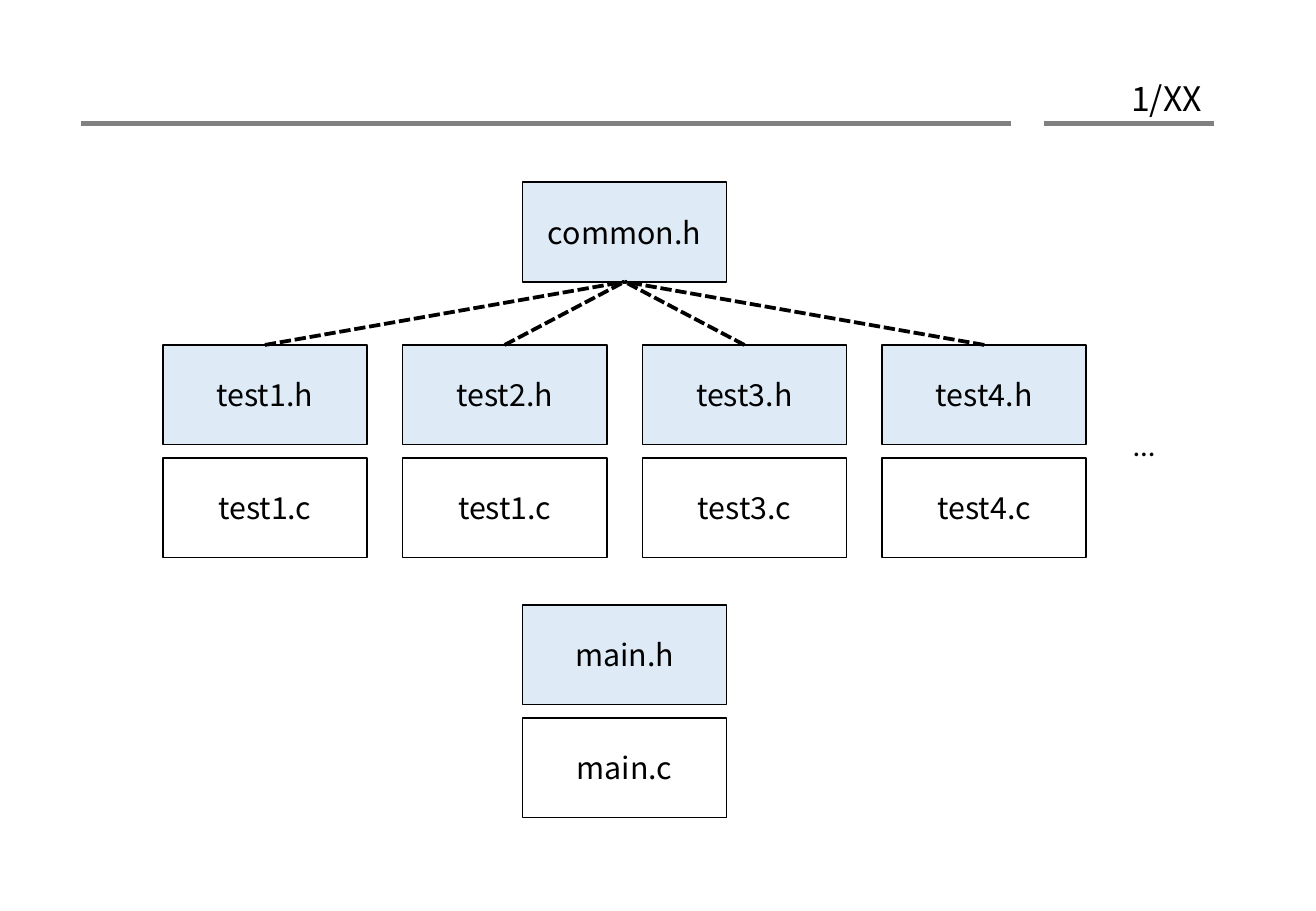
from lxml import etree
from pptx import Presentation
from pptx.dml.color import RGBColor
from pptx.enum.dml import MSO_LINE
from pptx.enum.shapes import MSO_CONNECTOR, MSO_SHAPE
from pptx.enum.text import MSO_ANCHOR, PP_ALIGN
from pptx.oxml.ns import qn
from pptx.util import Inches, Pt

PAGE_NUMBER = "1/XX"
COMMON_HEADER = "common.h"
TEST_MODULES = [
    ("test1.h", "test1.c"),
    ("test2.h", "test1.c"),
    ("test3.h", "test3.c"),
    ("test4.h", "test4.c"),
]
MAIN_MODULE = ("main.h", "main.c")
MORE_MODULES = "…"

FONT = "Noto Sans CJK KR"
BLACK, GRAY, HEADER_BLUE = "000000", "808080", "DEEBF7"

RULE_Y = 1.02
RULE_SPANS = [(0.67, 8.32), (8.59, 9.99)]
BOX_W, BOX_H = 1.68, 0.82
SOURCE_DROP = 0.93
COMMON_TOP, TESTS_TOP, MAIN_TOP = 1.5, 2.84, 4.98
FIRST_LEFT, LAST_LEFT = 1.34, 7.26
COLUMN_STEP = (LAST_LEFT - FIRST_LEFT) / (len(TEST_MODULES) - 1)
CENTER_LEFT = (FIRST_LEFT + LAST_LEFT) / 2


def color(hex_value):
    return RGBColor.from_string(hex_value)


def write(shape, text, size, align, anchor, font=FONT, wrap=True):
    frame = shape.text_frame
    frame.word_wrap = wrap
    frame.vertical_anchor = anchor
    paragraph = frame.paragraphs[0]
    paragraph.alignment = align
    run = paragraph.add_run()
    run.text = text
    for attribute, value in {"name": font, "size": Pt(size)}.items():
        setattr(run.font, attribute, value)
    run.font.color.rgb = color(BLACK)


def add_file_box(slide, name, left, top):
    """Header files are tinted, source files are unfilled."""
    box = slide.shapes.add_shape(
        MSO_SHAPE.RECTANGLE, Inches(left), Inches(top), Inches(BOX_W), Inches(BOX_H))
    box.shadow.inherit = False
    if name.endswith(".h"):
        box.fill.solid()
        box.fill.fore_color.rgb = color(HEADER_BLUE)
    else:
        box.fill.background()
    box.line.color.rgb = color(BLACK)
    box.line.width = Pt(1)
    write(box, name, 18, PP_ALIGN.CENTER, MSO_ANCHOR.MIDDLE)
    return box


def add_module(slide, module, left, top):
    """Stack a header over its source file and return the header box."""
    header, source = module
    header_box = add_file_box(slide, header, left, top)
    add_file_box(slide, source, left, top + SOURCE_DROP)
    return header_box


def add_line(slide, start, end, hex_value, width, dash=None):
    line = slide.shapes.add_connector(
        MSO_CONNECTOR.STRAIGHT, *map(Inches, (*start, *end)))
    line.line.color.rgb = color(hex_value)
    line.line.width = Pt(width)
    if dash:
        line.line.dash_style = dash
    etree.SubElement(line._element.spPr, qn("a:effectLst"))
    return line


def main():
    deck = Presentation()
    deck.slide_width, deck.slide_height = Inches(10.83), Inches(7.5)
    slide = deck.slides.add_slide(deck.slide_layouts[6])

    for left, right in RULE_SPANS:
        add_line(slide, (left, RULE_Y), (right, RULE_Y), GRAY, 3)
    page_number = slide.shapes.add_textbox(
        Inches(7.55), Inches(0.61), Inches(2.44), Inches(0.4))
    write(page_number, PAGE_NUMBER, 20, PP_ALIGN.RIGHT, MSO_ANCHOR.MIDDLE)

    common = add_file_box(slide, COMMON_HEADER, CENTER_LEFT, COMMON_TOP)
    add_module(slide, MAIN_MODULE, CENTER_LEFT, MAIN_TOP)
    test_headers = [
        add_module(slide, module, FIRST_LEFT + column * COLUMN_STEP, TESTS_TOP)
        for column, module in enumerate(TEST_MODULES)
    ]

    more = slide.shapes.add_textbox(
        Inches(9.23), Inches(3.46), Inches(0.38), Inches(0.4))
    write(more, MORE_MODULES, 18, PP_ALIGN.LEFT, MSO_ANCHOR.TOP, "Calibri", False)

    common_bottom = (CENTER_LEFT + BOX_W / 2, COMMON_TOP + BOX_H)
    for column, header in enumerate(test_headers):
        header_top = (FIRST_LEFT + column * COLUMN_STEP + BOX_W / 2, TESTS_TOP)
        link = add_line(slide, header_top, common_bottom, BLACK, 2.25,
                        MSO_LINE.SQUARE_DOT)
        link.begin_connect(header, 0)
        link.end_connect(common, 2)

    deck.save("out.pptx")


if __name__ == "__main__":
    main()
